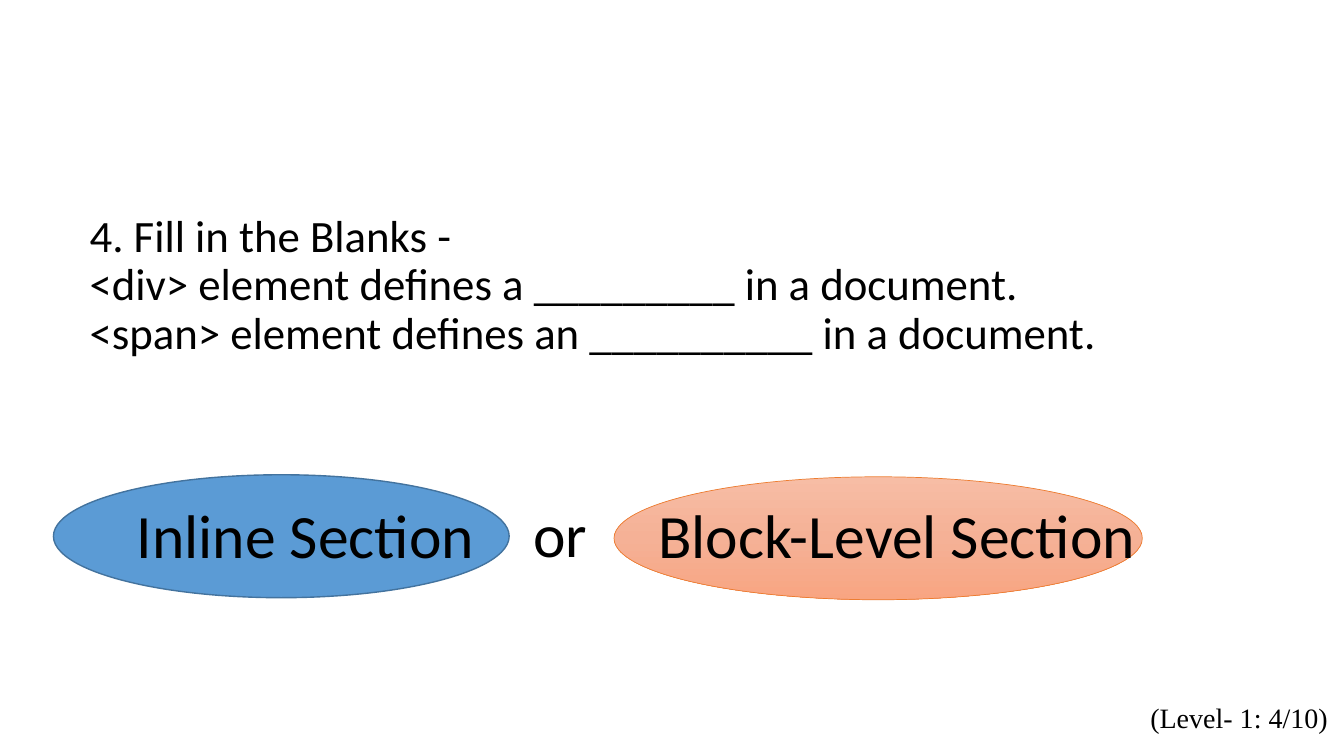
from copy import deepcopy

from pptx import Presentation
from pptx.dml.color import RGBColor
from pptx.enum.shapes import MSO_SHAPE as Shape
from pptx.enum.text import MSO_ANCHOR as Anchor, PP_ALIGN as Align
from pptx.util import Inches, Pt

QUESTION = [
    "4. Fill in the Blanks -",
    "<div> element defines a _________ in a document.",
    "<span> element defines an __________ in a document.",
]


def color(hex_code):
    return RGBColor.from_string(hex_code)


def add_text(slide, box, lines, size, font="Calibri", align=Align.LEFT):
    frame = slide.shapes.add_textbox(*map(Inches, box)).text_frame
    frame.word_wrap = True
    frame.vertical_anchor = Anchor.MIDDLE
    for index, line in enumerate(lines):
        paragraph = frame.paragraphs[0] if index == 0 else frame.add_paragraph()
        paragraph.alignment = align
        paragraph.line_spacing = 0.9
        run = paragraph.add_run()
        run.text = line
        run.font.size = Pt(size)
        run.font.name = font
        run.font.color.rgb = color("000000")


def fill_gradient(fill, stop_colors):
    """Fill from top to bottom with evenly spaced colours."""
    fill.gradient()
    fill.gradient_angle = 270
    first_stop = fill.gradient_stops[0]._gs
    for _ in stop_colors[2:]:
        first_stop.addnext(deepcopy(first_stop))
    for index, (stop, hex_code) in enumerate(zip(fill.gradient_stops, stop_colors)):
        stop.position = index / (len(stop_colors) - 1)
        stop.color.rgb = color(hex_code)


def add_ellipse(slide, box, fill_colors, line_color, line_width):
    ellipse = slide.shapes.add_shape(Shape.OVAL, *map(Inches, box))
    ellipse.shadow.inherit = False
    if len(fill_colors) > 1:
        fill_gradient(ellipse.fill, fill_colors)
    else:
        ellipse.fill.solid()
        ellipse.fill.fore_color.rgb = color(fill_colors[0])
    ellipse.line.color.rgb = color(line_color)
    ellipse.line.width = Pt(line_width)


def add_choices(slide, left, top):
    """Place the two answer ellipses, then their labels joined by "or"."""
    add_ellipse(slide, (left + 5.56, top + 0.02, 5.24, 1.22),
                ["F7BDA5", "F5B196", "F8A582"], "ED7D31", 0.5)
    add_ellipse(slide, (left, top, 4.52, 1.22), ["5B9BD5"], "43739E", 1)
    labels = [
        ("Inline Section", 0.73, -1.01, 3.79, 3.28),
        ("Block-Level Section", 5.9, -1.77, 7.61, 4.8),
        ("or", 4.66, -1.02, 3.79, 3.28),
    ]
    for label, dx, dy, width, height in labels:
        add_text(slide, (left + dx, top + dy, width, height), [label], 44)


def main():
    deck = Presentation()
    deck.slide_width = Inches(13.33)
    deck.slide_height = Inches(7.5)
    slide = deck.slides.add_slide(deck.slide_layouts[6])
    add_choices(slide, 0.53, 4.71)
    add_text(slide, (0.79, 1.58, 13.01, 2.52), QUESTION, 32)
    add_text(slide, (11.09, 6.77, 2.4, 0.73), ["(Level- 1: 4/10)"], 20,
             "Times New Roman", Align.CENTER)
    deck.save("out.pptx")


if __name__ == "__main__":
    main()
